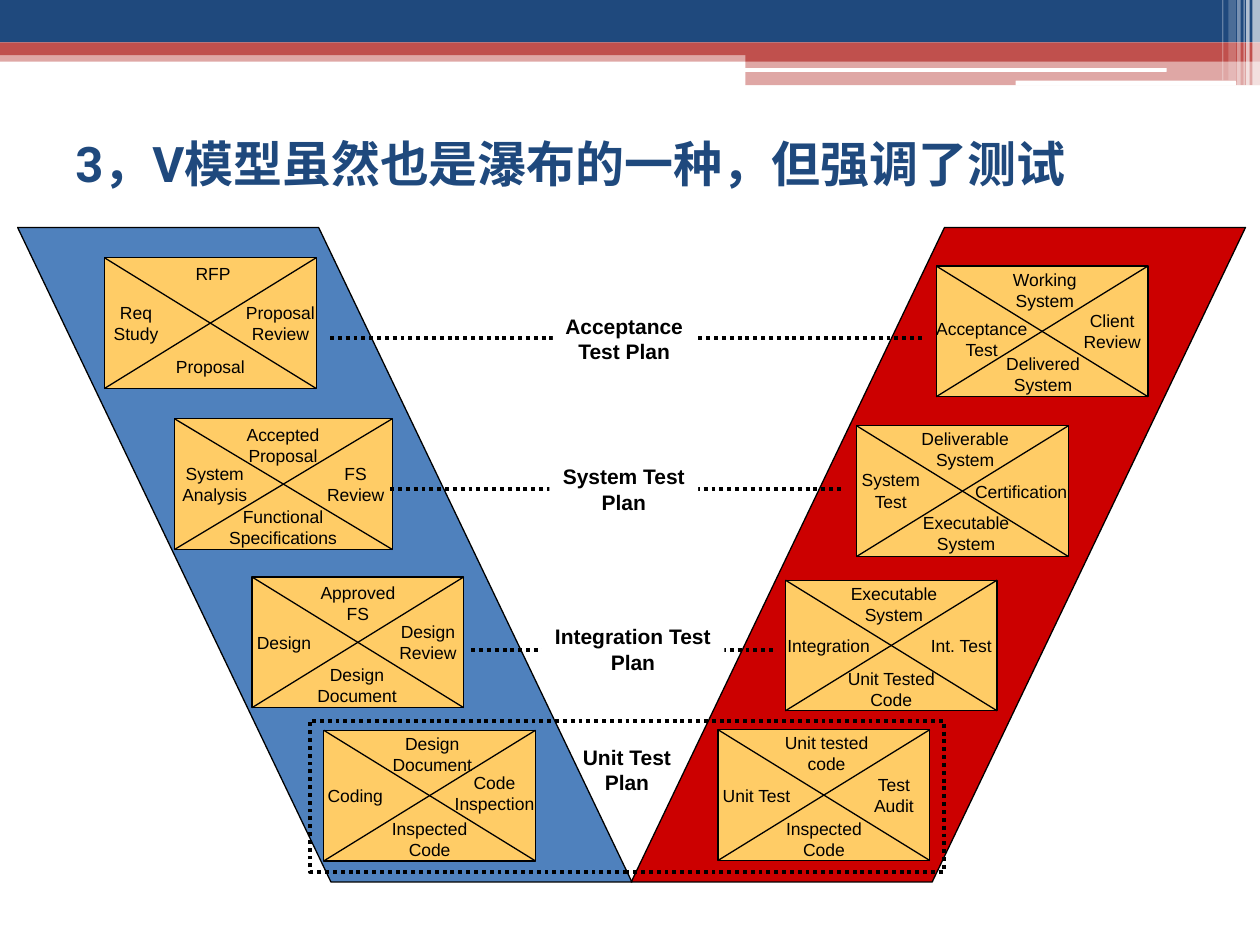
from lxml.etree import SubElement
from pptx import Presentation
from pptx.dml.color import RGBColor as RGB
from pptx.enum.dml import MSO_LINE as Dash
from pptx.enum.shapes import MSO_CONNECTOR as Link, MSO_SHAPE as Preset
from pptx.enum.text import MSO_ANCHOR as Anchor, MSO_AUTO_SIZE as Fit, PP_ALIGN as Align
from pptx.oxml.ns import qn
from pptx.util import Pt

COLORS = {"navy": "1F497D", "brick": "C0504D", "white": "FFFFFF", "black": "000000",
          "blue": "4F81BD", "red": "CC0000", "amber": "FFCC66"}


class VModelSlide:
    """Style and drawing methods for the current slide."""
    label_size, plan_size, title_size = 10, 12, 28
    thin, dotted = 0.75, 2.25
    label_inset, title_inset = 3, 7.2
    body_font, title_font = "Arial", "Roboto"

    def __init__(self, slide):
        self.shapes = slide.shapes

    def color(self, name):
        return RGB.from_string(COLORS[name])

    def block(self, preset, x, y, w, h, fill=None, alpha=100, line=0):
        shape = self.shapes.add_shape(preset, Pt(x), Pt(y), Pt(w), Pt(h))
        shape.shadow.inherit = False
        if fill:
            shape.fill.solid()
            shape.fill.fore_color.rgb = self.color(fill)
            if alpha < 100:
                tint = shape.element.spPr.find(qn("a:solidFill"))[0]
                SubElement(tint, qn("a:alpha")).set("val", str(alpha * 1000))
        else:
            shape.fill.background()
        if line:
            self.stroke(shape.line, line)
        else:
            shape.line.fill.background()
        return shape

    def stroke(self, line, width):
        line.color.rgb = self.color("black")
        line.width = Pt(width)
        if width == self.dotted:
            line.dash_style = Dash.ROUND_DOT

    def rule(self, x1, y1, x2, y2, width):
        link = self.shapes.add_connector(Link.STRAIGHT, Pt(x1), Pt(y1), Pt(x2), Pt(y2))
        self.stroke(link.line, width)
        SubElement(link.element.spPr, qn("a:effectLst"))

    def text(self, words, x, y, w, h, size, font, color="black", bold=False,
             align=Align.CENTER, wrap=False, fill=None):
        box = self.shapes.add_textbox(Pt(x), Pt(y), Pt(w), Pt(h))
        if fill:
            box.fill.solid()
            box.fill.fore_color.rgb = self.color(fill)
        frame = box.text_frame
        frame.word_wrap = wrap
        frame.auto_size = Fit.NONE
        frame.vertical_anchor = Anchor.MIDDLE
        # Slim side insets leave every label line room to stay whole
        frame.margin_left = frame.margin_right = Pt(
            self.title_inset if wrap else self.label_inset)
        frame.text = words
        for paragraph in frame.paragraphs:
            paragraph.alignment = align
            style = paragraph.font
            style.size, style.name, style.bold = Pt(size), font, bold
            style.color.rgb = self.color(color)

    def title(self, words):
        self.text(words, 36, 60, 648, 66, self.title_size, self.title_font,
                  "navy", True, Align.LEFT, True)

    def leg(self, x, fill, mirrored=False):
        leg = self.block(Preset.PARALLELOGRAM, x, 130, 351, 374, fill, line=self.thin)
        leg.adjustments[0] = 0.51
        if mirrored:
            leg.element.spPr.xfrm.set("flipH", "1")

    def stage(self, x, y, w, labels):
        """Crossed box; each label is text, centre offset from the box corner, width."""
        h = 74.7
        self.block(Preset.RECTANGLE, x, y, w, h, "amber", line=self.thin)
        for words, dx, dy, width in labels:
            height = 31 if "\n" in words else 19.4
            self.text(words, x + dx - width / 2, y + dy - height / 2, width, height,
                      self.label_size, self.body_font)
        self.rule(x, y + h, x + w, y, self.thin)
        self.rule(x, y, x + w, y + h, self.thin)

    def plan(self, words, x, y, w, reach=None, fill=None):
        """Test plan label, on a dotted line when it spans (start, end, height)."""
        if reach:
            start, end, level = reach
            self.rule(start, level, end, level, self.dotted)
        self.text(words, x, y, w, 36, self.plan_size, self.body_font, bold=True, fill=fill)


# Header bands and stripes: x, y, width, height, colour, opacity
BANDS = [
    (0, 28.8, 720, 6.5, "brick", 50), (0, 0, 720, 24.3, "navy", 100),
    (0, 24.3, 720, 7.2, "brick", 100), (426, 28.1, 294, 7.2, "brick", 100),
    (426, 35.2, 294, 13.5, "brick", 50)]
BARS = [(425.5, 38.9, 241.2, 2.2), (580.3, 46.1, 126, 2.9)]
STRIPES = [
    (715.7, 4.3, 49, 65), (712.1, 2, 49, 65), (710.6, 0.7, 49, 60),
    (707, 2, 49, 40), (702, 4.3, 46, 20), (698.4, 0.7, 46, 30)]

# Stages: x, y, width, then top, left, bottom and right labels
TEST_STAGES = [
    (535, 152, 121, [("Working\nSystem", 62, 13.5, 51), ("Acceptance\nTest", 26, 42, 66),
                     ("Delivered\nSystem", 61, 61.5, 57), ("Client\nReview", 100.5, 37, 48)]),
    (489.5, 243.3, 121, [("Deliverable\nSystem", 62, 13.5, 64), ("System\nTest", 19.5, 37, 48),
                         ("Executable\nSystem", 62.5, 61.5, 63),
                         ("Certification", 94, 37.5, 67)]),
    (448.8, 331.5, 121, [("Executable\nSystem", 62, 13.5, 63), ("Integration", 24.7, 37.5, 61),
                         ("Unit Tested\nCode", 60.5, 62.5, 66), ("Int. Test", 100.5, 37.5, 50)]),
    (410.3, 417, 121, [("Unit tested\ncode", 62, 13.5, 62), ("Unit Test", 22, 37.5, 55),
                       ("Inspected\nCode", 60.5, 62.5, 58), ("Test\nAudit", 100.5, 37.5, 37)])]
BUILD_STAGES = [
    (59.7, 147.3, 121, [("RFP", 62, 9.3, 35), ("Req\nStudy", 18, 37.5, 49),
                        ("Proposal", 60.5, 62, 54), ("Proposal\nReview", 100.5, 37.5, 54)]),
    (99.7, 239.3, 124.5, [("Accepted\nProposal", 62, 15, 56), ("System\nAnalysis", 23, 37.5, 54),
                          ("Functional\nSpecifications", 62, 62, 76),
                          ("FS\nReview", 103.5, 37.5, 48)]),
    (144, 329.7, 121, [("Approved\nFS", 60.5, 15, 57), ("Design", 18.3, 37.5, 45),
                       ("Design\nDocument", 60, 62, 60), ("Design\nReview", 100.5, 37, 48)]),
    (185, 417.3, 121, [("Design\nDocument", 62, 13.5, 60), ("Coding", 18, 37.5, 46),
                       ("Inspected\nCode", 60.5, 62, 58), ("Code\nInspection", 97.5, 36, 60)])]


def main():
    deck = Presentation()
    deck.slide_width, deck.slide_height = Pt(720), Pt(540)
    page = VModelSlide(deck.slides.add_slide(deck.slide_layouts[6]))

    # Header decoration
    for x, y, w, h, fill, alpha in BANDS:
        page.block(Preset.RECTANGLE, x, y, w, h, fill, alpha)
    for bar in BARS:
        page.block(Preset.ROUNDED_RECTANGLE, *bar, "white")
    for x, w, h, alpha in STRIPES:
        page.block(Preset.RECTANGLE, x, 0, w, h, "white", alpha)

    page.title("3，V模型虽然也是瀑布的一种，但强调了测试")

    # Legs of the V and their stages
    page.leg(360.7, "red")
    page.leg(10.1, "blue", mirrored=True)
    for stage in TEST_STAGES + BUILD_STAGES:
        page.stage(*stage)

    # Test plans linking the two legs
    page.plan("Unit Test\nPlan", 325.5, 422, 65.5)
    page.plan("System Test\nPlan", 314, 261.5, 85, (223, 482.4, 279.4), "white")
    page.plan("Integration Test\nPlan", 309.5, 353, 104.4, (269.3, 442, 371.5), "white")
    page.plan("Acceptance\nTest Plan", 316, 175.7, 81.4, (188.6, 528.5, 193), "white")

    # Unit test frame
    page.block(Preset.RECTANGLE, 177.1, 411.8, 362.2, 86.4, line=page.dotted)

    deck.save("out.pptx")


if __name__ == "__main__":
    main()
